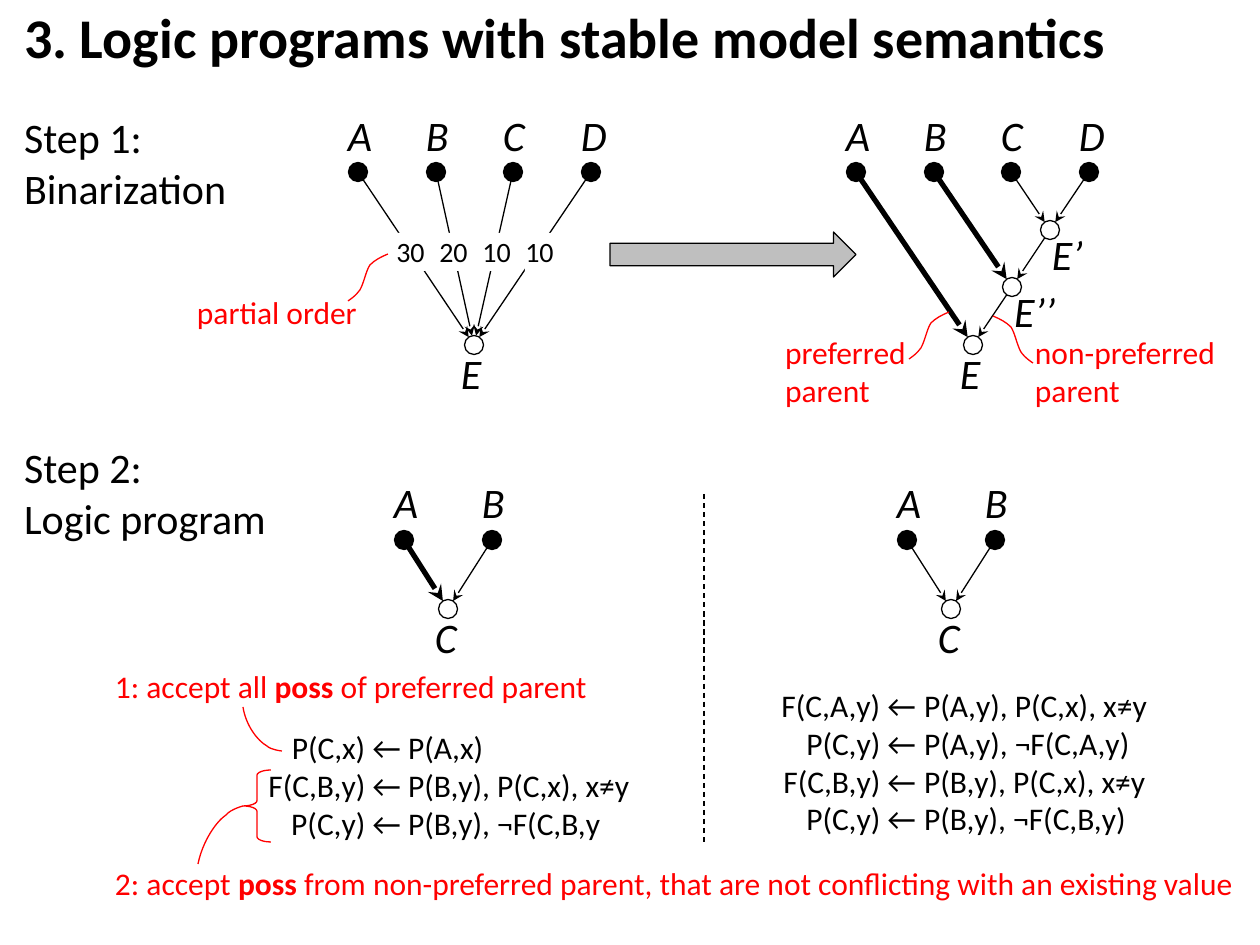
from math import hypot

from lxml import etree
from pptx import Presentation
from pptx.dml.color import RGBColor
from pptx.enum.dml import MSO_LINE
from pptx.enum.shapes import MSO_CONNECTOR, MSO_SHAPE
from pptx.enum.text import MSO_ANCHOR, PP_ALIGN
from pptx.oxml.ns import qn
from pptx.util import Emu, Pt

STRAIGHT = MSO_CONNECTOR.STRAIGHT
ELLIPSE, ARROW, BRACE = MSO_SHAPE.OVAL, MSO_SHAPE.RIGHT_ARROW, MSO_SHAPE.LEFT_BRACE
LEFT, CENTER, TOP, DASH = PP_ALIGN.LEFT, PP_ALIGN.CENTER, MSO_ANCHOR.TOP, MSO_LINE.DASH
COLORS = {"black": "000000", "white": "FFFFFF", "red": "FF0000", "gray": "BFBFBF"}
FONT = "Calibri"
SCALE = 914400 / 126
NODE = 19
THIN, THICK = 0.75, 3

TITLE = "3. Logic programs with stable model semantics"
STEPS = [
    ("Step 1: \nBinarization", (24, 112, 205, 102)),
    ("Step 2: \nLogic program", (24, 442, 246, 102)),
]

LABEL_WIDTHS = {"A": 28, "B": 26, "C": 25, "D": 29, "E": 24, "E’": 35, "E’’": 45}
ABOVE, BELOW, BESIDE = (-10, -65), (-13, 0), (2, -3)
PARENTS = {"A": (0, 0), "B": (78, 0), "C": (155, 0), "D": (233, 0)}
PAIR = {"A": (0, 0), "B": (88, 0), "C": (44, 69)}
GRAPHS = [
    {"origin": (358, 172), "nodes": {**PARENTS, "E": (116, 173)},
     "places": {"E": BELOW},
     "edges": [(name, "E", THIN) for name in PARENTS]},
    {"origin": (856, 172),
     "nodes": {**PARENTS, "E’": (194, 58), "E’’": (156, 115), "E": (117, 173)},
     "places": {"E’": BESIDE, "E’’": BESIDE, "E": BELOW},
     "edges": [("A", "E", THICK), ("B", "E’’", THICK), ("C", "E’", THIN),
               ("D", "E’", THIN), ("E’", "E’’", THIN), ("E’’", "E", THIN)]},
    {"origin": (404, 540), "nodes": PAIR, "places": {"C": BELOW},
     "edges": [("A", "C", THICK), ("B", "C", THIN)]},
    {"origin": (907, 540), "nodes": PAIR, "places": {"C": BELOW},
     "edges": [("A", "C", THIN), ("B", "C", THIN)]},
]
WEIGHTS = ["30", "20", "10", "10"]

NOTES = [
    ([("partial order", False)], (197, 291, 163, 42)),
    ([("preferred\nparent", False)], (785, 331, 122, 80)),
    ([("non-preferred\nparent", False)], (1035, 331, 183, 80)),
    ([("1: accept all ", False), ("poss", True), (" of preferred parent", False)],
     (115, 665, 478, 42)),
    ([("2: accept ", False), ("poss", True),
      (" from non-preferred parent, that are not conflicting with an existing value", False)],
     (115, 862, 1130, 42)),
]
HOOK = [(0, 0), (-7, 3), (-13, 6), (-18, 11), (-22, 17), (-24, 29), (-28, 36),
        (-32, 42), (-40, 47), (-40, 47)]
HOOK_STARTS = [(388, 254, 1), (949, 312, 1), (993, 316, -1)]
BENDS = [
    [(243, 707), (246, 726), (258, 741), (267, 746), (271, 750), (282, 751), (282, 751)],
    [(198, 864), (203, 840), (217, 821), (226, 815), (231, 809), (243, 806), (243, 806)],
]

RULES = [
    ("\tP(C,x) ←\tP(A,x)\n\tF(C,B,y) ←\tP(B,y), P(C,x), x≠y\n"
     "\tP(C,y) ←\tP(B,y), ¬F(C,B,y",
     (243, 728, 410, 115), (158, 165, 489)),
    ("\tF(C,A,y) ←\tP(A,y), P(C,x), x≠y\n\tP(C,y) ←\tP(A,y), ¬F(C,A,y)\n"
     "\tF(C,B,y) ←\tP(B,y), P(C,x), x≠y\n\tP(C,y) ←\tP(B,y), ¬F(C,B,y)",
     (735, 686, 433, 152), (181, 189, 504)),
]


def px(value):
    return Emu(round(value * SCALE))


def color(name):
    return RGBColor.from_string(COLORS[name])


def write(frame, spans, size, ink="black", align=LEFT, wrap=False, pad=0, **style):
    layout = {"word_wrap": wrap, "vertical_anchor": TOP, "margin_left": 0,
              "margin_right": 0, "margin_top": px(pad), "margin_bottom": px(pad)}
    for name, value in layout.items():
        setattr(frame, name, value)
    para = frame.paragraphs[0]
    para.alignment = align
    for text, bold in spans:
        for number, line in enumerate(text.split("\n")):
            if number:
                para.add_line_break()
            span = para.add_run()
            span.text = line
            look = {"name": FONT, "size": Pt(size), "bold": bold, **style}
            for name, value in look.items():
                setattr(span.font, name, value)
            span.font.color.rgb = color(ink)
    return para


def add_text(slide, place, spans, size, fill=None, **options):
    box = slide.shapes.add_textbox(*map(px, place))
    if fill:
        box.fill.solid()
        box.fill.fore_color.rgb = color(fill)
    return write(box.text_frame, spans, size, **options)


def outline(shape, ink="black", width=THIN, fill=None):
    shape.shadow.inherit = False
    shape.line.color.rgb = color(ink)
    shape.line.width = Pt(width)
    if fill:
        shape.fill.solid()
        shape.fill.fore_color.rgb = color(fill)
    else:
        shape.fill.background()


def add_line(slide, start, end, width=THIN, dash=None, arrow=False):
    line = slide.shapes.add_connector(STRAIGHT, *map(px, (*start, *end)))
    line.line.color.rgb = color("black")
    line.line.width = Pt(width)
    if dash:
        line.line.dash_style = dash
    properties = line.element.spPr
    if arrow:
        etree.SubElement(properties.find(qn("a:ln")), qn("a:tailEnd"), type="stealth")
    etree.SubElement(properties, qn("a:effectLst"))


def add_curve(slide, points):
    start, *rest = [(px(x), px(y)) for x, y in points]
    builder = slide.shapes.build_freeform(*start)
    builder.add_line_segments(rest, close=False)
    curve = builder.convert_to_shape()
    segments = list(curve.element.iter(qn("a:lnTo")))
    for first in range(0, len(segments), 3):
        bezier = etree.SubElement(segments[first].getparent(), qn("a:cubicBezTo"))
        for segment in segments[first:first + 3]:
            bezier.append(segment[0])
            segment.getparent().remove(segment)
    outline(curve, "red")


def draw_graph(slide, graph):
    left, top = graph["origin"]
    centers = {name: (left + x, top + y) for name, (x, y) in graph["nodes"].items()}
    for name, (x, y) in centers.items():
        dx, dy = graph["places"].get(name, ABOVE)
        add_text(slide, (x + dx, y + dy, LABEL_WIDTHS[name], 54), [(name, False)], 24,
                 fill="white", pad=2, italic=True)
    for source, target, width in graph["edges"]:
        (x1, y1), (x2, y2) = centers[source], centers[target]
        trim = (NODE / 2) / hypot(x2 - x1, y2 - y1)
        end = (x2 - (x2 - x1) * trim, y2 - (y2 - y1) * trim)
        add_line(slide, (x1, y1), end, width, arrow=True)
    for name, (x, y) in centers.items():
        node = slide.shapes.add_shape(
            ELLIPSE, *map(px, (x - NODE / 2, y - NODE / 2, NODE, NODE)))
        outline(node, fill="white" if name in graph["places"] else "black")


def main():
    deck = Presentation()
    deck.slide_width, deck.slide_height = px(1260), px(945)
    slide = deck.slides.add_slide(deck.slide_layouts[5])
    title = slide.shapes.title
    title.left, title.top, title.width, title.height = map(px, (24, 3, 1096, 68))
    write(title.text_frame, [(TITLE, True)], 32)

    for text, place in STEPS:
        add_text(slide, place, [(text, False)], 24)
    for graph in GRAPHS:
        draw_graph(slide, graph)
    for number, weight in enumerate(WEIGHTS):
        add_text(slide, (396 + 43 * number, 233, 29, 38), [(weight, False)], 16,
                 fill="white", align=CENTER, pad=2)

    add_line(slide, (704, 494), (704, 844), dash=DASH)
    arrow = slide.shapes.add_shape(ARROW, *map(px, (610, 232, 246, 45)))
    outline(arrow, fill="gray")

    for spans, place in NOTES:
        add_text(slide, place, spans, 18, fill="white", ink="red", pad=2)
    for text, place, stops in RULES:
        para = add_text(slide, place, [(text, False)], 18, wrap=True)
        tabs = etree.SubElement(para._p.get_or_add_pPr(), qn("a:tabLst"))
        for stop, side in zip(stops, "rlr"):
            etree.SubElement(tabs, qn("a:tab"), pos=str(px(stop)), algn=side)

    for x, y, side in HOOK_STARTS:
        add_curve(slide, [(x + side * dx, y + dy) for dx, dy in HOOK])
    for points in BENDS:
        add_curve(slide, points)
    brace = slide.shapes.add_shape(BRACE, *map(px, (243, 770, 28, 72)))
    brace.adjustments[0] = 0.19
    outline(brace, "red")

    deck.save("out.pptx")


if __name__ == "__main__":
    main()
